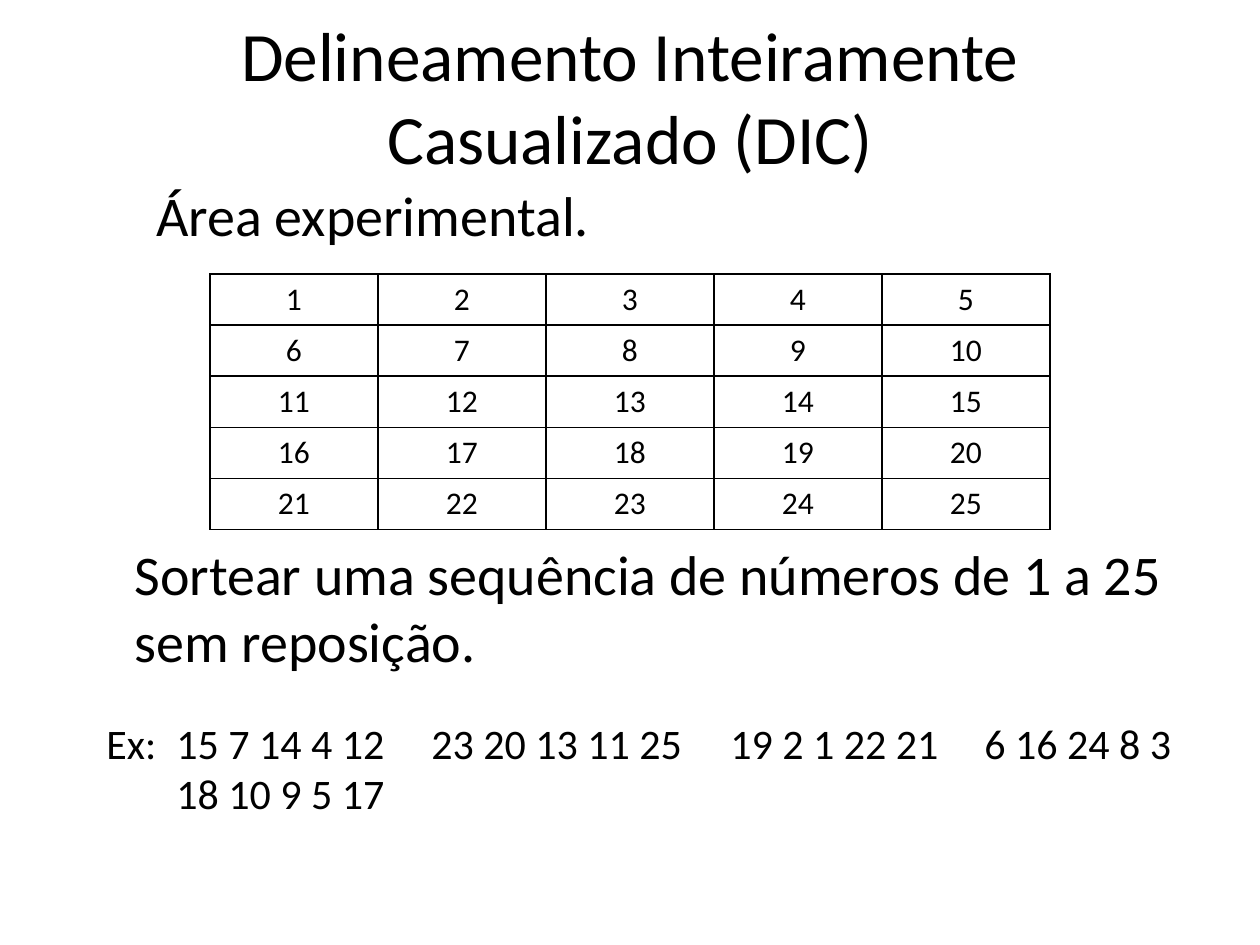
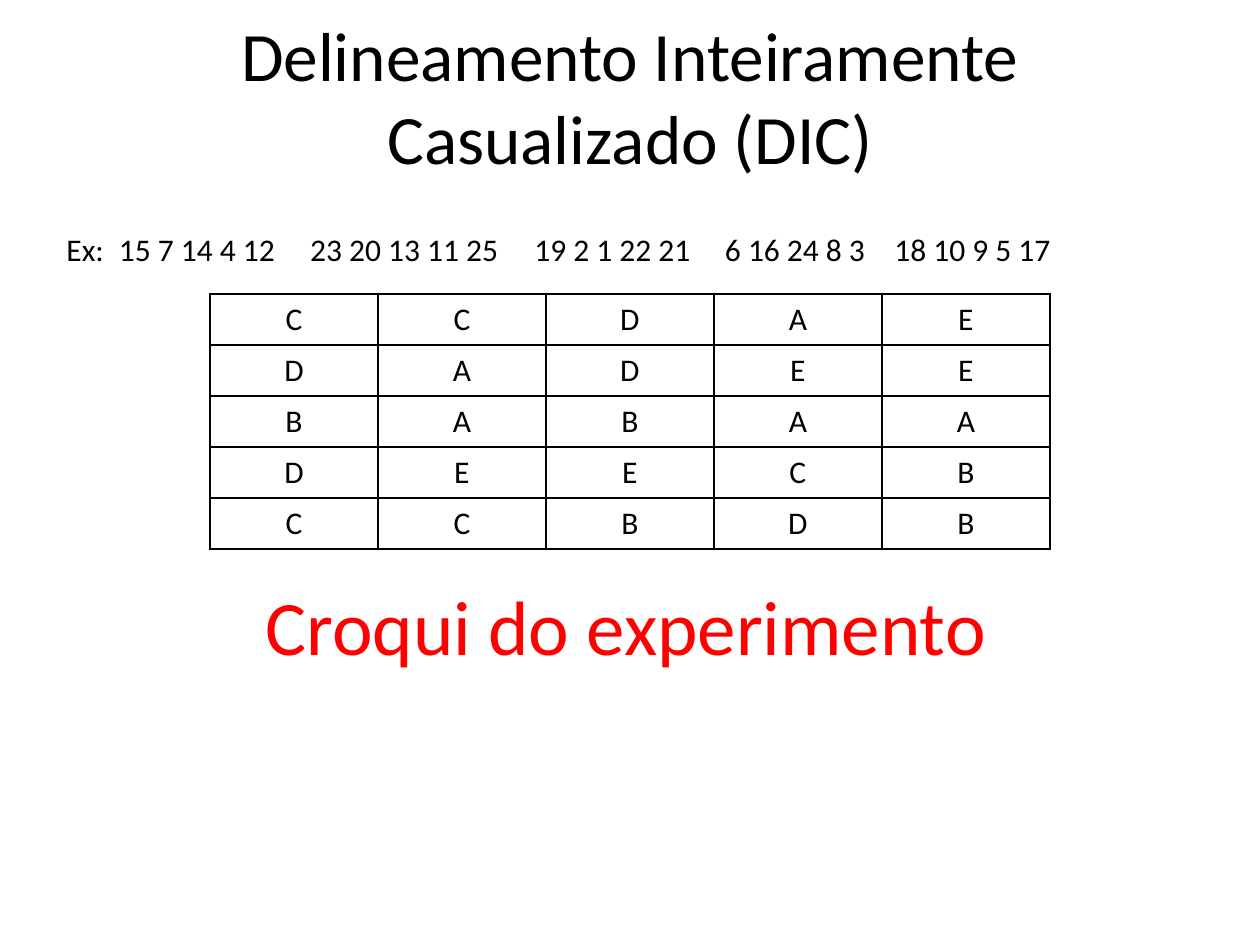
from dataclasses import dataclass

from pptx import Presentation
from pptx.dml.color import RGBColor
from pptx.enum.text import MSO_ANCHOR as Anchor, MSO_AUTO_SIZE as AutoSize, PP_ALIGN as Align
from pptx.oxml.ns import qn
from pptx.util import Emu, Pt


@dataclass(frozen=True)
class Theme:
    font: str = "Calibri"
    ink: str = "000000"
    accent: str = "FF0000"
    title: float = 39.6
    heading: int = 44
    body: int = 32
    example: int = 24
    small: int = 18
    border: int = 1


THEME = Theme()
EMU_PER_PX = 914400 / 126
TITLE = "Delineamento Inteiramente Casualizado (DIC)"
GRID = 5
COLUMN_WIDTH, ROW_HEIGHT = 168, 51
TABLE_LEFT = 210
TREATMENTS = {
    "A": (15, 7, 14, 4, 12),
    "B": (23, 20, 13, 11, 25),
    "C": (19, 2, 1, 22, 21),
    "D": (6, 16, 24, 8, 3),
    "E": (18, 10, 9, 5, 17),
}
EXAMPLE_STOPS = (70, 325, 624, 878, 1104)


def px(length):
    return Emu(round(length * EMU_PER_PX))


def add_span(para, text, size, color=THEME.ink):
    span = para.add_run()
    span.text = text
    span.font.name = THEME.font
    span.font.size = Pt(size)
    span.font.color.rgb = RGBColor.from_string(color)


def add_page(deck):
    page = deck.slides.add_slide(deck.slide_layouts[5])
    title = page.shapes.title
    title.left, title.top, title.width, title.height = map(px, (63, 16, 1134, 158))
    frame = title.text_frame
    frame.word_wrap = True
    frame.auto_size = AutoSize.NONE
    frame.vertical_anchor = Anchor.MIDDLE
    frame.paragraphs[0].alignment = Align.CENTER
    add_span(frame.paragraphs[0], TITLE, THEME.title)
    return page


def add_text(page, area, lines, size, color=THEME.ink):
    frame = page.shapes.add_textbox(*map(px, area)).text_frame
    frame.word_wrap = True
    frame.auto_size = AutoSize.SHAPE_TO_FIT_TEXT
    for index, line in enumerate(lines):
        para = frame.add_paragraph() if index else frame.paragraphs[0]
        add_span(para, line, size, color)
    return frame


def set_tab_stops(para, stops):
    properties = para._p.get_or_add_pPr()
    tabs = properties.makeelement(qn("a:tabLst"), {})
    properties.append(tabs)
    for stop in stops:
        tab = tabs.makeelement(qn("a:tab"), {"pos": str(px(stop)), "algn": "l"})
        tabs.append(tab)


def add_example(page, area, size, groups_on_first_line):
    groups = [" ".join(map(str, plots)) for plots in TREATMENTS.values()]
    lines = ["\t".join(["Ex:", *groups[:groups_on_first_line]])]
    lines += ["\t" + group for group in groups[groups_on_first_line:]]
    frame = add_text(page, area, lines, size)
    stops = [stop * size / THEME.example for stop in EXAMPLE_STOPS]
    for para in frame.paragraphs:
        set_tab_stops(para, stops)


def draw_borders(cell):
    properties = cell._tc.get_or_add_tcPr()
    for position, side in enumerate(("lnL", "lnR", "lnT", "lnB")):
        line = properties.makeelement(qn(f"a:{side}"), {"w": str(Pt(THEME.border))})
        fill = line.makeelement(qn("a:solidFill"), {})
        fill.append(fill.makeelement(qn("a:srgbClr"), {"val": THEME.ink}))
        line.append(fill)
        properties.insert(position, line)


def add_plot_table(page, top, labels):
    area = (TABLE_LEFT, top, GRID * COLUMN_WIDTH, GRID * ROW_HEIGHT)
    table = page.shapes.add_table(GRID, GRID, *map(px, area)).table
    table.first_row = table.horz_banding = False
    for column in table.columns:
        column.width = px(COLUMN_WIDTH)
    for row in table.rows:
        row.height = px(ROW_HEIGHT)
    for index, label in enumerate(labels):
        cell = table.cell(*divmod(index, GRID))
        cell.fill.background()
        draw_borders(cell)
        para = cell.text_frame.paragraphs[0]
        para.alignment = Align.CENTER
        add_span(para, label, THEME.small)


def build_draw_page(deck, plots):
    page = add_page(deck)
    add_plot_table(page, 274, map(str, plots))
    add_text(page, (122, 533, 1071, 149),
             ["Sortear uma sequência de números de 1 a 25 sem reposição."], THEME.body)
    add_example(page, (94, 711, 1221, 115), THEME.example, 4)
    add_text(page, (144, 174, 1071, 81), ["Área experimental."], THEME.body)


def build_sketch_page(deck, plots):
    treatment_of = {plot: name for name, drawn in TREATMENTS.items() for plot in drawn}
    page = add_page(deck)
    add_example(page, (54, 224, 1150, 50), THEME.small, GRID)
    add_plot_table(page, 294, [treatment_of[plot] for plot in plots])
    add_text(page, (253, 572, 753, 106), ["Croqui do experimento"], THEME.heading, THEME.accent)


def main():
    deck = Presentation()
    deck.slide_width, deck.slide_height = px(1260), px(945)
    plots = range(1, GRID * GRID + 1)
    build_draw_page(deck, plots)
    build_sketch_page(deck, plots)
    deck.save("out.pptx")


if __name__ == "__main__":
    main()
